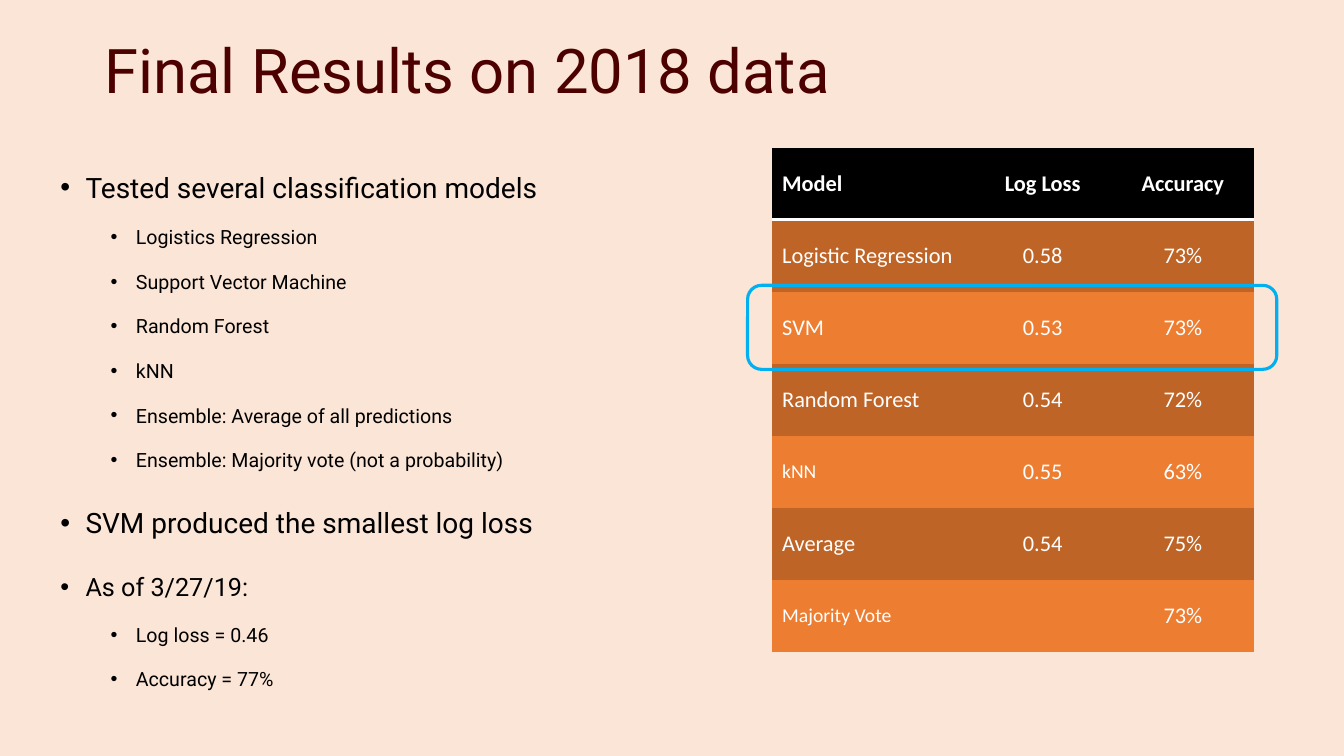
import dataclasses

import pptx
import pptx.dml.color
import pptx.enum.shapes
import pptx.enum.text
import pptx.oxml
import pptx.oxml.ns
import pptx.util

Pt = pptx.util.Pt
ALIGN = pptx.enum.text.PP_ALIGN
MIDDLE = pptx.enum.text.MSO_ANCHOR.MIDDLE

COLORS = {
    "background": "FBE5D6",
    "title": "4D0000",
    "body": "000000",
    "header": "000000",
    "odd_row": "BE6427",
    "even_row": "ED7D31",
    "table_text": "FFFFFF",
    "highlight": "00B0F0",
}
PLAIN_TABLE_STYLE = "{2D5ABB26-0587-4C30-8999-92F81FD0307C}"


@dataclasses.dataclass
class Bullet:
    text: str
    size: float = 14
    level: int = 1


@dataclasses.dataclass
class ModelRow:
    model: str
    log_loss: str
    accuracy: str
    name_size: float = 16


BULLETS = [
    Bullet("Tested several classification models", 20, 0),
    Bullet("Logistics Regression"),
    Bullet("Support Vector Machine"),
    Bullet("Random Forest"),
    Bullet("kNN"),
    Bullet("Ensemble: Average of all predictions"),
    Bullet("Ensemble: Majority vote (not a probability)"),
    Bullet("SVM produced the smallest log loss", 20, 0),
    Bullet("As of 3/27/19:", 18, 0),
    Bullet("Log loss = 0.46"),
    Bullet("Accuracy = 77%"),
]
MODEL_ROWS = [
    ModelRow("Model", "Log Loss", "Accuracy"),
    ModelRow("Logistic Regression", "0.58", "73%"),
    ModelRow("SVM", "0.53", "73%"),
    ModelRow("Random Forest", "0.54", "72%"),
    ModelRow("kNN", "0.55", "63%", 14),
    ModelRow("Average", "0.54", "75%"),
    ModelRow("Majority Vote", "", "73%", 14),
]
COLUMN_WIDTHS = [144, 98.6, 101.6]
ROW_HEIGHT = 360 / len(MODEL_ROWS)


def rgb(name: str) -> pptx.dml.color.RGBColor:
    return pptx.dml.color.RGBColor.from_string(COLORS[name])


def set_format(target, **values) -> None:
    for name, value in values.items():
        setattr(target, name, value)


def write(para, text: str, font: str, size: float, color: str, bold: bool = False) -> None:
    span = para.add_run()
    span.text = text
    set_format(span.font, name=font, size=Pt(size), bold=bold)
    span.font.color.rgb = rgb(color)


def add_title(page, text: str) -> None:
    title = page.shapes.title
    set_format(title, left=Pt(67.5), top=Pt(0), width=Pt(828), height=Pt(104.5))
    set_format(title.text_frame, vertical_anchor=MIDDLE, word_wrap=True)
    para = title.text_frame.paragraphs[0]
    set_format(para, alignment=ALIGN.LEFT, line_spacing=0.9)
    write(para, text, "Roboto", 44, "title")


def add_bullets(page, bullets: list[Bullet]) -> None:
    box = page.shapes.add_textbox(Pt(36), Pt(103.7), Pt(456), Pt(423.4))
    frame = box.text_frame
    frame.word_wrap = True
    for index, bullet in enumerate(bullets):
        para = frame.add_paragraph() if index else frame.paragraphs[0]
        set_format(para, level=bullet.level, line_spacing=1.6,
                   space_before=Pt(5 if bullet.level else 10))
        write(para, bullet.text, "Roboto", bullet.size, "body")
        # Bullet sign and hanging indent
        properties = para._p.get_or_add_pPr()
        properties.set("marL", str(Pt(18 + 36 * bullet.level)))
        properties.set("indent", str(-Pt(18)))
        for tag, attribute in (('buFont', 'typeface="Arial"'), ('buChar', 'char="•"')):
            properties.append(pptx.oxml.parse_xml(
                f'<a:{tag} {pptx.oxml.ns.nsdecls("a")} {attribute}/>'))


def add_bottom_border(cell, color: str, width: float) -> None:
    border = pptx.oxml.parse_xml(
        f'<a:lnB {pptx.oxml.ns.nsdecls("a")} w="{Pt(width)}"><a:solidFill>'
        f'<a:srgbClr val="{COLORS[color]}"/></a:solidFill></a:lnB>')
    cell._tc.get_or_add_tcPr().insert(0, border)


def add_results_table(page, rows: list[ModelRow]) -> None:
    holder = page.shapes.add_table(
        len(rows), len(COLUMN_WIDTHS), Pt(551.5), Pt(105.5),
        Pt(sum(COLUMN_WIDTHS)), Pt(ROW_HEIGHT * len(rows)))
    for style in holder.element.iter(pptx.oxml.ns.qn("a:tableStyleId")):
        style.text = PLAIN_TABLE_STYLE
    table = holder.table
    for column, width in zip(table.columns, COLUMN_WIDTHS):
        column.width = Pt(width)
    for row_index, row in enumerate(rows):
        table.rows[row_index].height = Pt(ROW_HEIGHT)
        is_header = row_index == 0
        fill = "header" if is_header else "odd_row" if row_index % 2 else "even_row"
        for column_index, text in enumerate((row.model, row.log_loss, row.accuracy)):
            cell = table.cell(row_index, column_index)
            cell.vertical_anchor = MIDDLE
            cell.fill.solid()
            cell.fill.fore_color.rgb = rgb(fill)
            if is_header:
                add_bottom_border(cell, "table_text", 2)
            if text:
                para = cell.text_frame.paragraphs[0]
                para.alignment = ALIGN.CENTER if column_index else ALIGN.LEFT
                size = 16 if column_index else row.name_size
                write(para, text, "Calibri", size, "table_text", is_header)


def add_highlight(page) -> None:
    frame = page.shapes.add_shape(
        pptx.enum.shapes.MSO_SHAPE.ROUNDED_RECTANGLE,
        Pt(534), Pt(203.8), Pt(378), Pt(60))
    frame.shadow.inherit = False
    frame.fill.background()
    frame.line.color.rgb = rgb("highlight")
    frame.line.width = Pt(2.25)


def main() -> None:
    deck = pptx.Presentation()
    set_format(deck, slide_width=Pt(960), slide_height=Pt(540))
    page = deck.slides.add_slide(deck.slide_layouts.get_by_name("Title Only"))
    page.background.fill.solid()
    page.background.fill.fore_color.rgb = rgb("background")

    # Table, title, bullets, then the frame around the best model
    add_results_table(page, MODEL_ROWS)
    add_title(page, "Final Results on 2018 data")
    add_bullets(page, BULLETS)
    add_highlight(page)
    deck.save("out.pptx")


if __name__ == "__main__":
    main()
